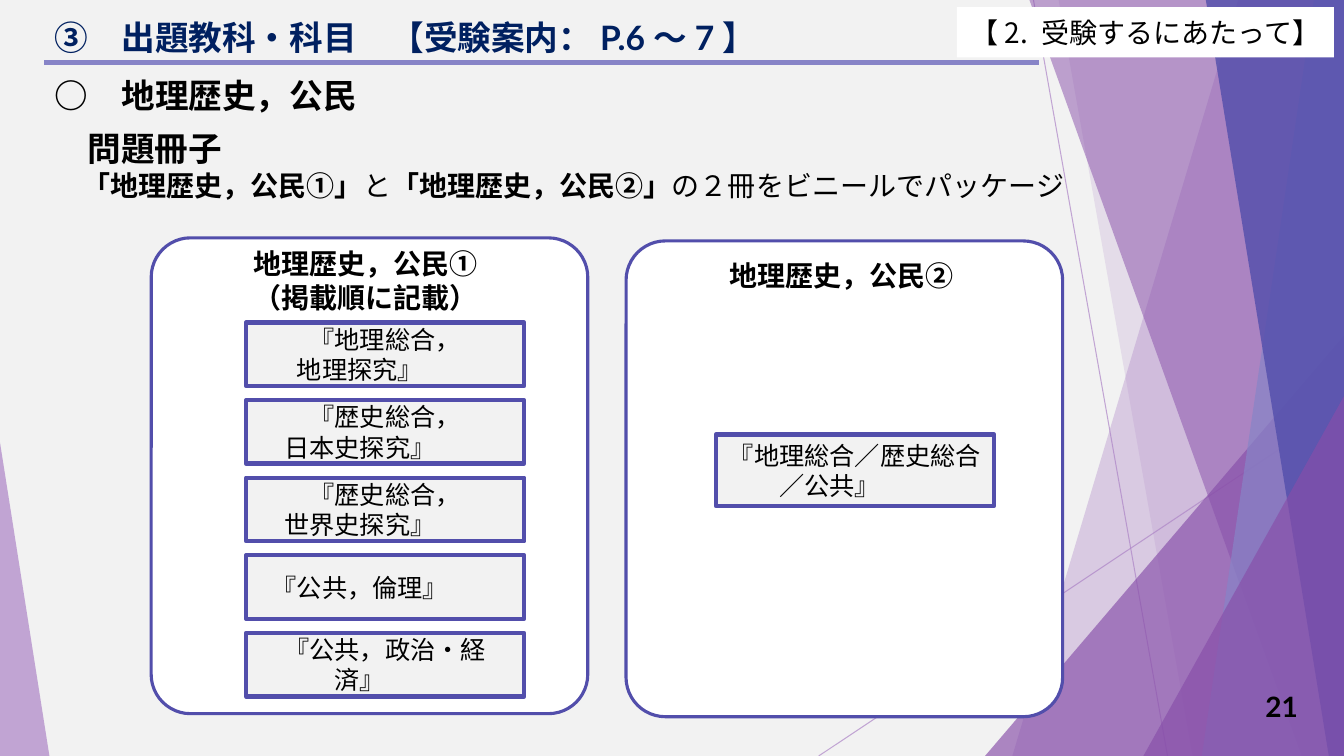
from dataclasses import dataclass

from lxml.etree import SubElement
from pptx import Presentation
from pptx.dml.color import RGBColor
from pptx.enum.shapes import MSO_CONNECTOR as Connector, MSO_SHAPE as Shape
from pptx.enum.text import MSO_ANCHOR as Anchor, PP_ALIGN as Align
from pptx.oxml.ns import qn
from pptx.util import Inches, Pt

WIDTH, HEIGHT = 13.33, 7.5
PALE, WHITE, BLACK, NAVY = "F2F2F2", "FFFFFF", "000000", "002060"
LILAC, PURPLE, BLUE, INDIGO = "AD84C6", "874EA9", "8784C7", "524EAB"
LATO, NOTO = "Lato", "Noto Sans CJK JP"


@dataclass
class Band:
    top: float
    bottom: float
    color: str
    opacity: int


@dataclass
class Triangle:
    left: float
    top: float
    width: float
    apex: int
    color: str
    opacity: int


@dataclass
class Rule:
    start: tuple[float, float]
    end: tuple[float, float]
    color: str
    weight: float
    opacity: int = 100


@dataclass
class Line:
    text: str
    size: int
    bold: bool = False
    font: str = LATO
    color: str = BLACK
    align: Align = Align.LEFT
    before: float = 0
    indent: float = 0
    right: float = 0
    plain: tuple[str, ...] = ()


@dataclass
class Box:
    left: float
    top: float
    width: float
    height: float
    lines: list[Line]
    anchor: Anchor = Anchor.MIDDLE


def rgb(color: str) -> RGBColor:
    return RGBColor.from_string(color)


def paint(fill, color: str, opacity: int = 100) -> None:
    fill.solid()
    fill.fore_color.rgb = rgb(color)
    if opacity < 100:
        tint = fill._xPr.find(f"{qn('a:solidFill')}/{qn('a:srgbClr')}")
        SubElement(tint, qn("a:alpha"), val=str(opacity * 1000))


def style(shape, color: str, opacity: int = 100, border: float = 0) -> None:
    shape.shadow.inherit = False
    paint(shape.fill, color, opacity)
    if border:
        paint(shape.line.fill, INDIGO)
        shape.line.width = Pt(border)
    else:
        shape.line.fill.background()


def add_rule(slide, rule: Rule) -> None:
    connector = slide.shapes.add_connector(
        Connector.STRAIGHT, *map(Inches, rule.start + rule.end))
    paint(connector.line.fill, rule.color, rule.opacity)
    connector.line.width = Pt(rule.weight)
    SubElement(connector._element.spPr, qn("a:effectLst"))


def add_band(slide, band: Band) -> None:
    builder = slide.shapes.build_freeform(Inches(band.top), 0)
    corners = [(WIDTH, 0), (WIDTH, HEIGHT), (band.bottom, HEIGHT)]
    builder.add_line_segments([(Inches(x), Inches(y)) for x, y in corners])
    style(builder.convert_to_shape(), band.color, band.opacity)


def add_triangle(slide, item: Triangle) -> None:
    shape = slide.shapes.add_shape(
        Shape.ISOSCELES_TRIANGLE, Inches(item.left), Inches(item.top),
        Inches(item.width), Inches(HEIGHT - item.top))
    shape.adjustments[0] = item.apex
    style(shape, item.color, item.opacity)


def write_line(paragraph, line: Line) -> None:
    properties = paragraph._p.get_or_add_pPr()
    properties.set("marL", str(Inches(line.indent)))
    properties.set("marR", str(Inches(line.right)))
    properties.set("indent", "0")
    paragraph.alignment = line.align
    paragraph.space_before = Pt(line.before)
    for part in line.text.split("|"):
        run = paragraph.add_run()
        run.text = part
        run.font.size = Pt(line.size)
        run.font.name = line.font
        run.font.bold = line.bold and part not in line.plain
        run.font.color.rgb = rgb(line.color)


def write(shape, box: Box) -> None:
    frame = shape.text_frame
    frame.word_wrap = True
    frame.vertical_anchor = box.anchor
    for index, line in enumerate(box.lines):
        paragraph = frame.add_paragraph() if index else frame.paragraphs[0]
        write_line(paragraph, line)


def add_text(slide, box: Box) -> None:
    place = map(Inches, (box.left, box.top, box.width, box.height))
    write(slide.shapes.add_textbox(*place), box)


def add_panel(slide, box: Box, color: str, border: float = 0,
              kind: Shape = Shape.RECTANGLE) -> None:
    place = map(Inches, (box.left, box.top, box.width, box.height))
    shape = slide.shapes.add_shape(kind, *place)
    if kind == Shape.ROUNDED_RECTANGLE:
        shape.adjustments[0] = 0.09
    style(shape, color, border=border)
    write(shape, box)


def heading(*texts: str) -> list[Line]:
    return [Line(text, 20, True, align=Align.CENTER) for text in texts]


def subject(first: str, last: str) -> list[Line]:
    lines = [Line(first, 18, align=Align.CENTER)] if first else []
    return lines + [Line(last, 18, align=Align.CENTER, right=0.5)]


RULES = [
    Rule((10.25, 0), (11.58, HEIGHT), LILAC, 0.75, 70),
    Rule((WIDTH, 4.03), (8.12, HEIGHT), LILAC, 0.75, 70),
]
DECORATION = [
    Band(12.28, 10.04, LILAC, 36),
    Band(10.5, 11.83, LILAC, 20),
    Triangle(9.77, 3.33, 3.56, 1, PURPLE, 66),
    Band(10.21, 12.91, PURPLE, 50),
    Band(13.03, 11.92, BLUE, 70),
    Band(11.96, 13.18, INDIGO, 80),
    Triangle(11.34, 3.93, 1.99, 1, PURPLE, 66),
    Triangle(0, 4.39, 0.49, 0, LILAC, 70),
]
TEXTS = [
    Box(0.44, 0.12, 10.15, 0.62, [
        Line("③　出題教科・科目　【受験案内：P.6～7】", 24, True, color=NAVY),
    ], Anchor.TOP),
    Box(12.22, 6.81, 0.75, 0.4, [Line("21", 20, True, align=Align.RIGHT)]),
    Box(0.44, 0.69, 11.85, 1.42, [
        Line("○　地理歴史，公民", 24, True, NOTO),
        Line("問題冊子", 24, True, before=9.5, indent=0.33),
        Line("「地理歴史，公民①」|と|「地理歴史，公民②」|の２冊をビニールでパッケージ",
             20, True, indent=0.28, plain=("と", "の２冊をビニールでパッケージ")),
    ], Anchor.TOP),
]
CARDS = [Box(6.21, 2.39, 4.33, 4.72, []), Box(1.5, 2.36, 4.33, 4.72, [])]
HEADINGS = [
    Box(7.03, 2.33, 2.63, 0.81, heading("地理歴史，公民②")),
    Box(2.12, 2.52, 3.01, 0.52, heading("地理歴史，公民①", "（掲載順に記載）")),
]
SUBJECTS = [
    ("『地理総合，", "地理探究』"),
    ("『歴史総合，", "日本史探究』"),
    ("『歴史総合，", "世界史探究』"),
    ("", "『公共，倫理』"),
    ("『公共，政治・経", "済』"),
]
SUBJECT_BOXES = [Box(7.1, 4.31, 2.76, 0.71, subject("『地理総合／歴史総合", "／公共』"))] + [
    Box(2.44, 3.2 + 0.77 * row, 2.76, 0.63, subject(*names))
    for row, names in enumerate(SUBJECTS)
]
SECTION = Box(9.49, 0.07, 3.74, 0.5, [
    Line("【2. 受験するにあたって】", 20, font=NOTO, align=Align.CENTER)])


def main() -> None:
    presentation = Presentation()
    presentation.slide_width, presentation.slide_height = Inches(WIDTH), Inches(HEIGHT)
    slide = presentation.slides.add_slide(presentation.slide_layouts[6])
    paint(slide.background.fill, PALE)
    for rule in RULES:
        add_rule(slide, rule)
    for item in DECORATION:
        (add_band if isinstance(item, Band) else add_triangle)(slide, item)
    add_rule(slide, Rule((0.44, 0.62), (10.3, 0.62), BLUE, 3))
    for box in TEXTS:
        add_text(slide, box)
    for card in CARDS:
        add_panel(slide, card, WHITE, 2.25, Shape.ROUNDED_RECTANGLE)
    for box in HEADINGS:
        add_text(slide, box)
    for box in SUBJECT_BOXES:
        add_panel(slide, box, PALE, 3)
    add_panel(slide, SECTION, WHITE)
    presentation.save("out.pptx")


if __name__ == "__main__":
    main()
